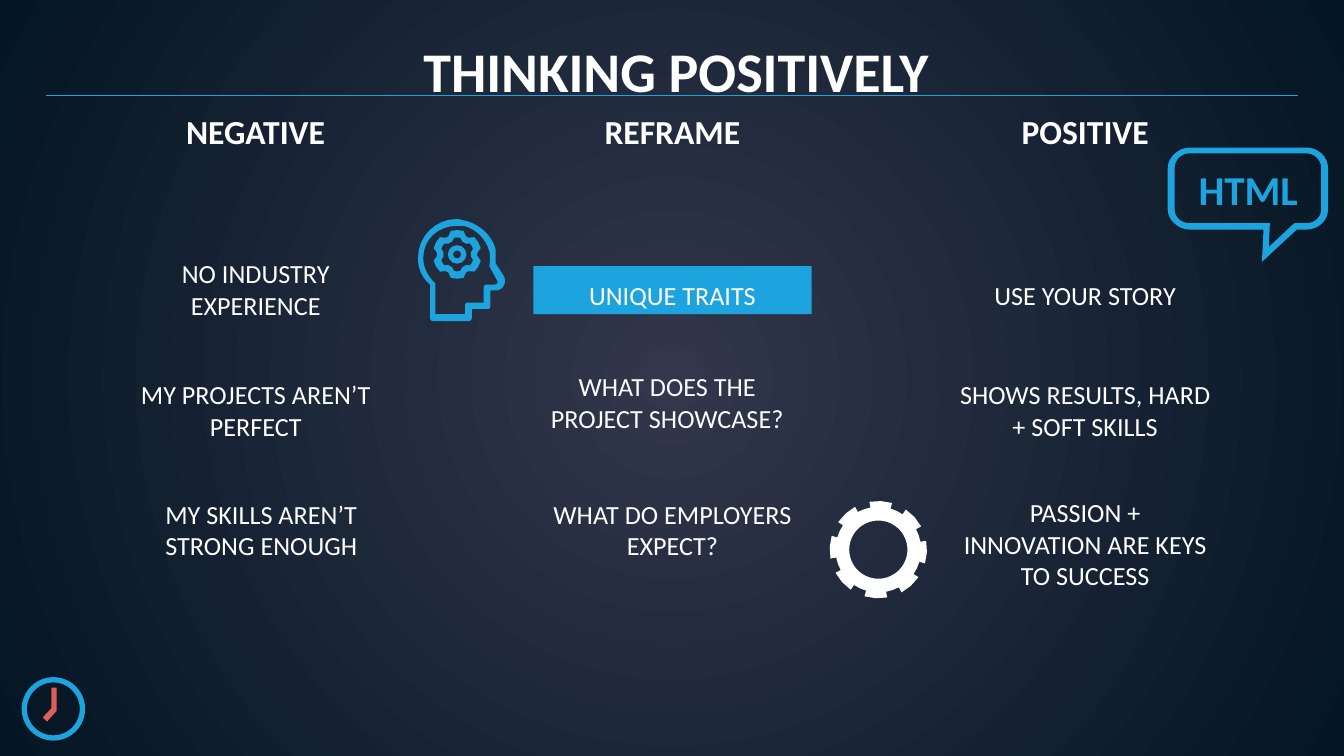
from math import cos, radians, sin

from lxml import etree
from pptx import Presentation
from pptx.dml.color import RGBColor
from pptx.enum.shapes import MSO_CONNECTOR, MSO_SHAPE
from pptx.enum.text import MSO_ANCHOR, PP_ALIGN
from pptx.oxml.ns import qn
from pptx.util import Cm, Pt

CENTER = PP_ALIGN.CENTER
TOP, MIDDLE, BOTTOM = MSO_ANCHOR.TOP, MSO_ANCHOR.MIDDLE, MSO_ANCHOR.BOTTOM
RECTANGLE, DONUT = MSO_SHAPE.RECTANGLE, MSO_SHAPE.DONUT
STRAIGHT = MSO_CONNECTOR.STRAIGHT

WHITE = RGBColor(0xFF, 0xFF, 0xFF)
SOFT_WHITE = RGBColor(0xFB, 0xFB, 0xFB)
BLUE = RGBColor(0x1D, 0xA3, 0xDD)
RED = RGBColor(0xDC, 0x5D, 0x59)
GLOW = RGBColor(0x32, 0x37, 0x4C)
NIGHT = RGBColor(0x04, 0x15, 0x23)

# Outlines in cm: a pair is a line to a point, six numbers are a curve
HEAD = [
    [(8.64, 4.14), (8.23, 4.14, 7.9, 4.47, 7.9, 4.88),
     (7.9, 5.08, 7.98, 5.26, 8.13, 5.38), (8.13, 5.99),
     (8.13, 6.05, 8.15, 6.07, 8.18, 6.07), (8.86, 6.07),
     (8.89, 6.07, 8.92, 6.05, 8.92, 5.99), (8.92, 5.84), (9.22, 5.84),
     (9.25, 5.84, 9.27, 5.82, 9.27, 5.77), (9.27, 5.49), (9.37, 5.49),
     (9.5, 5.49, 9.58, 5.36, 9.53, 5.23), (9.37, 4.98), (9.37, 4.72),
     (9.3, 4.45, 9.07, 4.24, 8.79, 4.17), (8.74, 4.17, 8.69, 4.14, 8.64, 4.14)],
    [(8.64, 4.27), (8.76, 4.27), (8.99, 4.32, 9.19, 4.52, 9.25, 4.75),
     (9.27, 4.83, 9.27, 4.9, 9.25, 5.03), (9.4, 5.31),
     (9.42, 5.33, 9.4, 5.38, 9.35, 5.38), (9.19, 5.38),
     (9.17, 5.38, 9.14, 5.41, 9.14, 5.44), (9.14, 5.72), (8.86, 5.72),
     (8.81, 5.72, 8.79, 5.74, 8.79, 5.77), (8.79, 5.94), (8.23, 5.94),
     (8.23, 5.36), (8.2, 5.33), (8.08, 5.21, 8, 5.05, 8, 4.88),
     (8, 4.52, 8.28, 4.27, 8.64, 4.27)],
]
BUBBLE = [
    [(22.48, 2.79), (22.28, 2.79, 22.07, 2.97, 22.07, 3.18), (22.07, 3.96),
     (22.07, 4.17, 22.28, 4.34, 22.48, 4.34), (23.88, 4.34), (23.85, 4.95),
     (24.51, 4.34), (24.69, 4.34), (24.92, 4.34, 25.1, 4.17, 25.1, 3.96),
     (25.1, 3.18), (25.1, 2.97, 24.92, 2.79, 24.69, 2.79)],
    [(24.69, 2.9), (24.84, 2.9, 24.97, 3.02, 24.97, 3.18), (24.97, 3.96),
     (24.97, 4.11, 24.84, 4.22, 24.69, 4.22), (24.46, 4.22), (23.98, 4.67),
     (24, 4.22), (22.48, 4.22), (22.33, 4.22, 22.2, 4.11, 22.2, 3.96),
     (22.2, 3.18), (22.2, 3.02, 22.33, 2.9, 22.48, 2.9)],
]
CLOCK_HANDS = [[(0.97, 13), (0.97, 13.39), (0.81, 13.56), (0.89, 13.64),
                (1.07, 13.44), (1.07, 13)]]

# Text, left, top, width, height in cm
HEADINGS = [
    ("NEGATIVE", 2.29, 2.57, 5.08, 0.53),
    ("REFRAME", 10.08, 2.57, 5.26, 0.53),
    ("POSITIVE", 17.88, 2.57, 5.26, 0.53),
]
STATEMENTS = [
    ("NO INDUSTRY EXPERIENCE", 2.31, 4.62, 5.05, 1.19),
    ("MY PROJECTS AREN’T PERFECT", 2.31, 6.91, 5.05, 2.87),
    ("MY SKILLS AREN’T STRONG ENOUGH", 2.31, 9.17, 5.26, 2.26),
    ("WHAT DO EMPLOYERS EXPECT?", 10.08, 9.17, 5.26, 2.26),
    ("USE YOUR STORY", 17.88, 5.03, 5.26, 1.63),
    ("SHOWS RESULTS, HARD + SOFT SKILLS", 17.88, 6.91, 5.26, 2.26),
    ("PASSION + INNOVATION ARE KEYS TO SUCCESS", 17.88, 9.14, 5.26, 2.26),
]


def write(shape, text, size=14, color=WHITE, bold=False, anchor=TOP):
    frame = shape.text_frame
    frame.word_wrap = True
    frame.vertical_anchor = anchor
    frame.margin_left = frame.margin_right = Cm(0.25)
    frame.margin_top = frame.margin_bottom = Cm(0.25)
    paragraph = frame.paragraphs[0]
    paragraph.alignment = CENTER
    run = paragraph.add_run()
    run.text = text
    run.font.name = "Calibri"
    run.font.size = Pt(size)
    run.font.bold = bold
    run.font.color.rgb = color


def flatten(contour, steps=8):
    """Turn the curves of a contour into short lines."""
    points = [contour[0]]
    for part in contour[1:]:
        if len(part) == 2:
            points.append(part)
            continue
        x0, y0 = points[-1]
        x1, y1, x2, y2, x3, y3 = part
        for step in range(1, steps + 1):
            t = step / steps
            a, b, c, d = (1 - t) ** 3, 3 * t * (1 - t) ** 2, 3 * t * t * (1 - t), t ** 3
            points.append((a * x0 + b * x1 + c * x2 + d * x3,
                           a * y0 + b * y1 + c * y2 + d * y3))
    return points


def polar(center, radius, degrees):
    angle = radians(degrees)
    return center[0] + radius * sin(angle), center[1] - radius * cos(angle)


def gear(center, teeth, tip, tip_half, root, root_half, phase=0):
    """Contour of a gear; the half widths are in degrees."""
    pitch = 360 / teeth
    corners = [(root, -root_half), (tip, -tip_half), (tip, 0), (tip, tip_half),
               (root, root_half), (root, pitch / 2)]
    return [polar(center, radius, phase + tooth * pitch + offset)
            for tooth in range(teeth) for radius, offset in corners]


def circle(center, radius):
    return [polar(center, radius, degrees) for degrees in range(0, 360, 6)]


class SlideBuilder:
    def __init__(self, slide):
        self.slide = slide
        self.shapes = slide.shapes

    def radial_background(self, inner, outer):
        fill = self.slide.background.fill
        fill.gradient()
        for stop, color, position in zip(fill.gradient_stops, (inner, outer), (0, 1)):
            stop.color.rgb = color
            stop.position = position
        gradient = self.slide.element.find(".//" + qn("a:gradFill"))
        gradient.remove(gradient.find(qn("a:lin")))
        focus = etree.SubElement(gradient, qn("a:path"), path="circle")
        etree.SubElement(focus, qn("a:fillToRect"), l="50000", t="50000",
                         r="50000", b="50000")

    def paint(self, shape, color):
        shape.shadow.inherit = False
        shape.fill.solid()
        shape.fill.fore_color.rgb = color
        shape.line.fill.background()
        return shape

    def text(self, text, *box, **style):
        write(self.shapes.add_textbox(*map(Cm, box)), text, **style)

    def preset(self, kind, *box, color=BLUE):
        return self.paint(self.shapes.add_shape(kind, *map(Cm, box)), color)

    def ring(self, center, diameter, thickness):
        left, top = (middle - diameter / 2 for middle in center)
        donut = self.preset(DONUT, left, top, diameter, diameter)
        donut.adjustments[0] = thickness / diameter

    def outline(self, contours, color=BLUE):
        paths = [[(Cm(x), Cm(y)) for x, y in flatten(contour)] for contour in contours]
        builder = self.shapes.build_freeform(*paths[0][0])
        builder.add_line_segments(paths[0][1:])
        for path in paths[1:]:
            builder.move_to(*path[0])
            builder.add_line_segments(path[1:])
        self.paint(builder.convert_to_shape(), color)

    def rule(self, x1, y1, x2, y2):
        line = self.shapes.add_connector(STRAIGHT, Cm(x1), Cm(y1), Cm(x2), Cm(y2))
        line.line.color.rgb = BLUE
        line.line.width = Pt(0.75)
        etree.SubElement(line.element.spPr, qn("a:effectLst"))


def main():
    deck = Presentation()
    deck.slide_width, deck.slide_height = Cm(25.4), Cm(14.29)
    page = SlideBuilder(deck.slides.add_slide(deck.slide_layouts[6]))
    page.radial_background(GLOW, NIGHT)

    # Title and column headings
    page.text("THINKING POSITIVELY", 0.08, 0.08, 25.4, 2.51,
              size=30, bold=True, anchor=MIDDLE)
    for heading in HEADINGS:
        page.text(*heading, size=18, bold=True, anchor=BOTTOM)

    # Clock
    page.ring((1.01, 13.4), 1.2, 0.1)
    page.outline(CLOCK_HANDS, RED)

    # Head with a gear inside
    page.outline(HEAD)
    mind = (8.64, 4.81)
    page.outline([gear(mind, 6, 0.46, 15, 0.38, 26), gear(mind, 6, 0.32, 10, 0.26, 22)])
    page.ring(mind, 0.35, 0.1)

    # White gear
    hub = (16.6, 10.39)
    page.outline([gear(hub, 8, 0.92, 13.5, 0.81, 13.5, phase=3), circle(hub, 0.55)], WHITE)

    # Rule and statements
    page.rule(0.86, 1.8, 24.54, 1.8)
    for statement in STATEMENTS:
        page.text(*statement)
    page.text("WHAT DOES THE PROJECT SHOWCASE?", 9.98, 6.76, 5.26, 2.26, color=SOFT_WHITE)
    write(page.preset(RECTANGLE, 10.08, 5.03, 5.26, 0.91), "UNIQUE TRAITS")

    # Speech bubble
    page.outline(BUBBLE)
    page.text("HTML", 22.28, 2.97, 2.62, 1.19, size=22, color=BLUE, bold=True, anchor=MIDDLE)

    deck.save("out.pptx")


if __name__ == "__main__":
    main()
